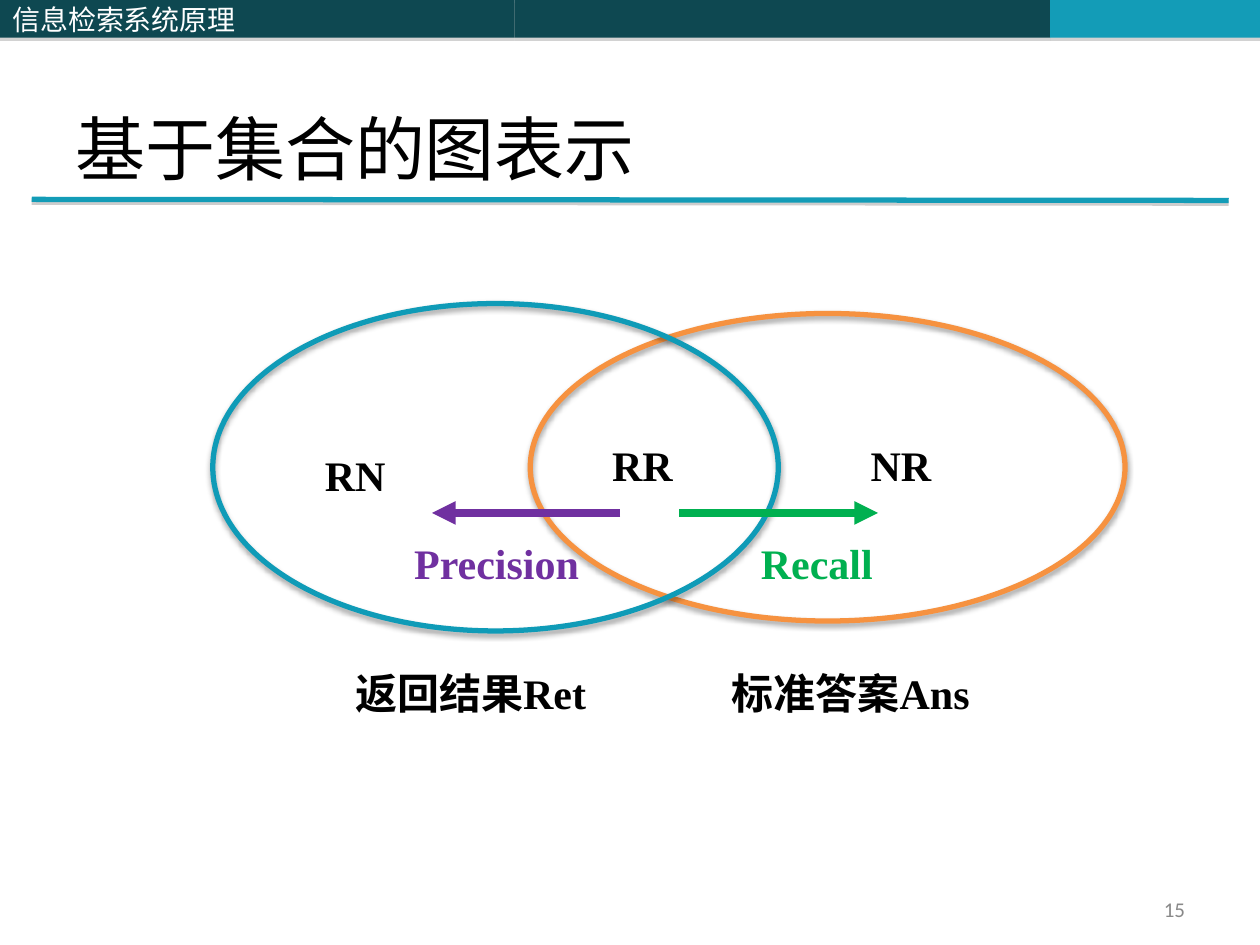
"""Build the set diagram slide on precision and recall."""
from dataclasses import dataclass
from typing import Optional

from lxml.etree import SubElement
from pptx import Presentation
from pptx.dml.color import RGBColor
from pptx.enum.shapes import MSO_CONNECTOR, MSO_SHAPE
from pptx.enum.text import MSO_ANCHOR, PP_ALIGN
from pptx.oxml.ns import qn
from pptx.util import Cm, Pt


@dataclass(frozen=True)
class Theme:
    dark: str = "0E4851"
    teal: str = "139CB7"
    returned: str = "0F9BB7"
    answer: str = "F69240"
    precision: str = "7030A0"
    recall: str = "00B050"
    ink: str = "000000"
    paper: str = "FFFFFF"
    muted: str = "898989"
    title_size: float = 40
    label_size: float = 24
    header_size: float = 16
    number_size: float = 12
    outline: float = 3
    arrow: float = 4.5
    latin: str = "Times New Roman"
    chinese: str = "Noto Sans CJK SC"
    number: str = "Calibri"


@dataclass(frozen=True)
class Shadow:
    color: str
    alpha: int
    blur: float
    distance: float


@dataclass(frozen=True)
class Area:
    left: float
    top: float
    width: float
    height: float

    def lengths(self) -> list:
        return [Cm(v) for v in (self.left, self.top, self.width, self.height)]


@dataclass(frozen=True)
class Label:
    text: str
    area: Area
    color: str
    size: float = 24
    font: str = "Times New Roman"
    bold: bool = False
    anchor: MSO_ANCHOR = MSO_ANCHOR.TOP
    align: PP_ALIGN = PP_ALIGN.LEFT


@dataclass(frozen=True)
class Stroke:
    start: tuple
    end: tuple
    color: str
    width: float
    arrow: bool = False
    shadow: Optional[Shadow] = None


THEME = Theme()
BAR_SHADOW = Shadow("808080", 35, 0, 1.8)
RULE_SHADOW = Shadow("808080", 38, 0, 1.6)
SET_SHADOW = Shadow("000000", 38, 3.1, 1.6)


def set_shadow(shape, shadow: Optional[Shadow]) -> None:
    """Give the shape the shadow, or none at all."""
    properties = shape._element.spPr
    effects = properties.find(qn("a:effectLst"))
    if effects is None:
        effects = SubElement(properties, qn("a:effectLst"))
    if shadow:
        outer = SubElement(effects, qn("a:outerShdw"), blurRad=str(Pt(shadow.blur)),
                           dist=str(Pt(shadow.distance)), dir="5400000", rotWithShape="0")
        color = SubElement(outer, qn("a:srgbClr"), val=shadow.color)
        SubElement(color, qn("a:alpha"), val=str(shadow.alpha * 1000))


def draw_bar(slide, area: Area, color: str) -> None:
    """Draw one filled part of the header band."""
    bar = slide.shapes.add_shape(MSO_SHAPE.RECTANGLE, *area.lengths())
    bar.fill.solid()
    bar.fill.fore_color.rgb = RGBColor.from_string(color)
    bar.line.fill.background()
    bar.shadow.inherit = False
    set_shadow(bar, BAR_SHADOW)


def draw_set(slide, area: Area, color: str) -> None:
    """Draw one set as an unfilled ellipse."""
    ellipse = slide.shapes.add_shape(MSO_SHAPE.OVAL, *area.lengths())
    ellipse.fill.background()
    ellipse.line.color.rgb = RGBColor.from_string(color)
    ellipse.line.width = Pt(THEME.outline)
    ellipse.shadow.inherit = False
    set_shadow(ellipse, SET_SHADOW)


def draw_label(slide, label: Label) -> None:
    """Write one line of text in its own box."""
    box = slide.shapes.add_textbox(*label.area.lengths())
    box.text_frame.word_wrap = True
    box.text_frame.vertical_anchor = label.anchor
    paragraph = box.text_frame.paragraphs[0]
    paragraph.alignment = label.align
    run = paragraph.add_run()
    run.text = label.text
    formats = {"name": label.font, "size": Pt(label.size), "bold": label.bold}
    for attribute, value in formats.items():
        setattr(run.font, attribute, value)
    run.font.color.rgb = RGBColor.from_string(label.color)
    SubElement(run._r.get_or_add_rPr(), qn("a:ea"), typeface=THEME.chinese)


def draw_stroke(slide, stroke: Stroke) -> None:
    """Draw a straight line, with an arrowhead if asked."""
    points = [Cm(v) for v in (*stroke.start, *stroke.end)]
    connector = slide.shapes.add_connector(MSO_CONNECTOR.STRAIGHT, *points)
    connector.line.color.rgb = RGBColor.from_string(stroke.color)
    connector.line.width = Pt(stroke.width)
    if stroke.arrow:
        SubElement(connector.line._get_or_add_ln(), qn("a:tailEnd"), type="triangle")
    set_shadow(connector, stroke.shadow)


def main() -> None:
    """Build and save the slide."""
    presentation = Presentation()
    presentation.slide_width, presentation.slide_height = Cm(25.4), Cm(19.05)
    slide = presentation.slides.add_slide(presentation.slide_layouts[6])

    header = Area(0, 0, 10.37, 0.76)
    draw_bar(slide, Area(10.37, 0, 10.8, 0.76), THEME.dark)
    draw_bar(slide, Area(21.17, 0, 4.23, 0.76), THEME.teal)
    draw_stroke(slide, Stroke((0.64, 4.02), (24.77, 4.04), THEME.teal, THEME.outline,
                              shadow=RULE_SHADOW))
    draw_bar(slide, header, THEME.dark)

    draw_label(slide, Label("信息检索系统原理", header, THEME.paper, THEME.header_size,
                            THEME.chinese, anchor=MSO_ANCHOR.MIDDLE))
    draw_label(slide, Label("基于集合的图表示", Area(1.27, 0.76, 22.86, 3.18), THEME.ink,
                            THEME.title_size, THEME.latin, anchor=MSO_ANCHOR.BOTTOM))
    draw_label(slide, Label("15", Area(18.22, 17.98, 5.92, 0.69), THEME.muted,
                            THEME.number_size, THEME.number,
                            anchor=MSO_ANCHOR.MIDDLE, align=PP_ALIGN.RIGHT))

    draw_set(slide, Area(10.69, 6.32, 11.99, 6.2), THEME.answer)
    draw_set(slide, Area(4.29, 6.12, 11.4, 6.6), THEME.returned)

    for text, left, top, width, color in (
        ("RR", 12.09, 8.74, 2.59, THEME.ink),
        ("标准答案Ans", 14.5, 13.34, 7.21, THEME.ink),
        ("返回结果Ret", 6.91, 13.34, 7.21, THEME.ink),
        ("RN", 6.3, 8.94, 4.39, THEME.ink),
        ("NR", 17.3, 8.74, 4.39, THEME.ink),
        ("Precision", 8.1, 10.72, 5.21, THEME.precision),
        ("Recall", 15.09, 10.72, 5.21, THEME.recall),
    ):
        draw_label(slide, Label(text, Area(left, top, width, 1.27), color,
                                THEME.label_size, THEME.latin, bold=True))

    arrow_height = 10.34
    for start, end, color in ((12.5, 8.71, THEME.precision), (13.69, 17.7, THEME.recall)):
        draw_stroke(slide, Stroke((start, arrow_height), (end, arrow_height), color,
                                  THEME.arrow, arrow=True))

    presentation.save("out.pptx")


if __name__ == "__main__":
    main()
